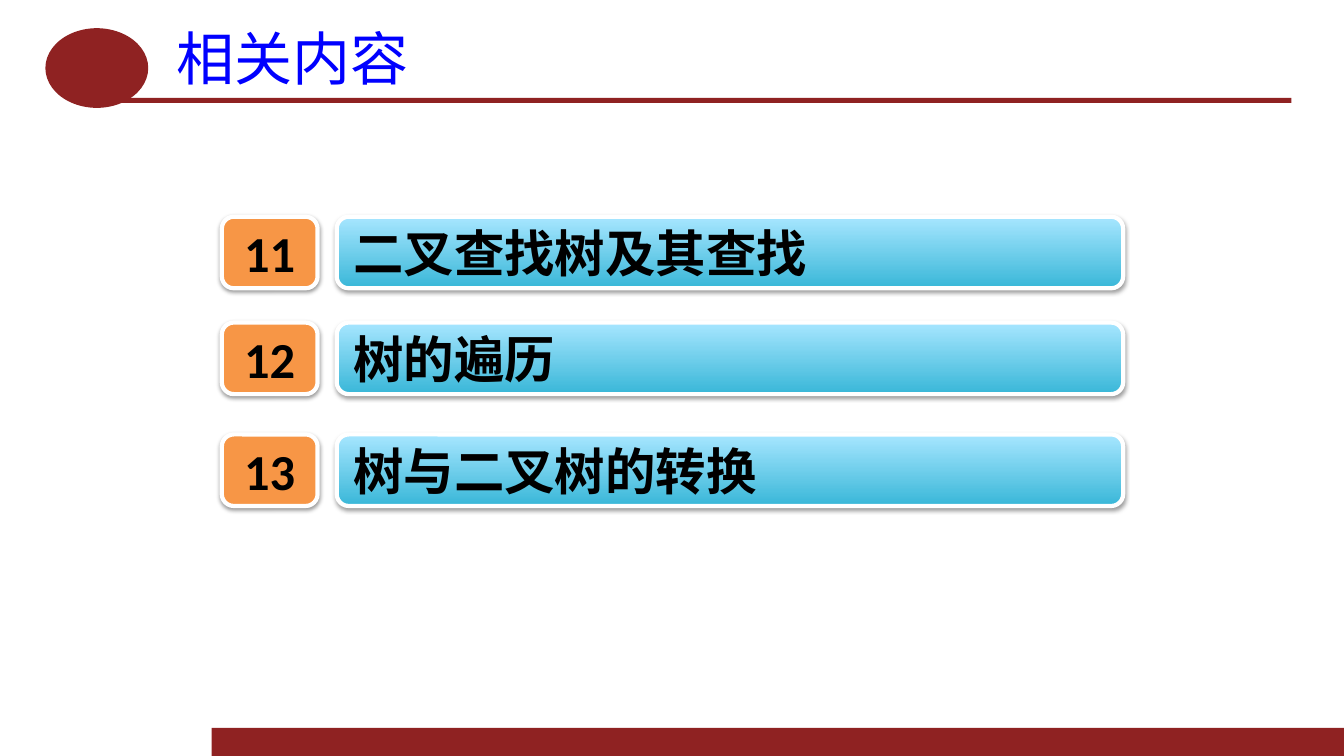
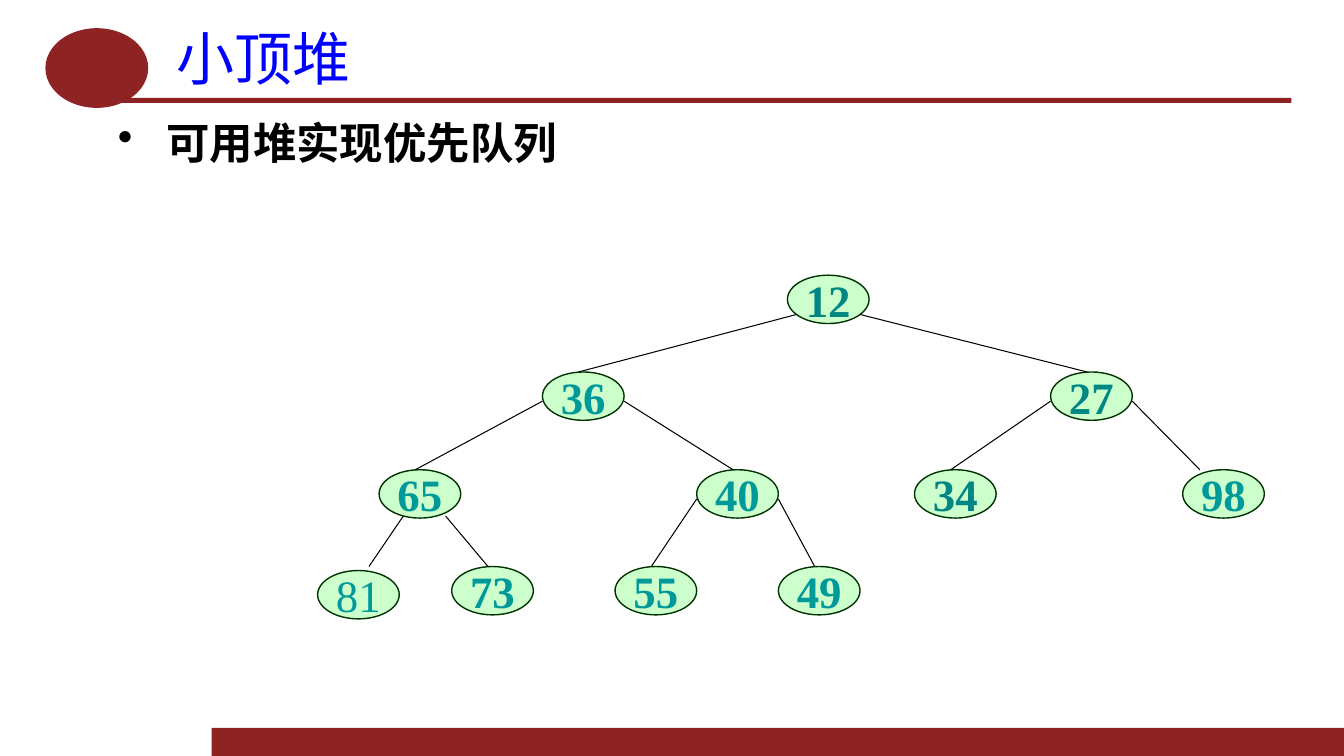
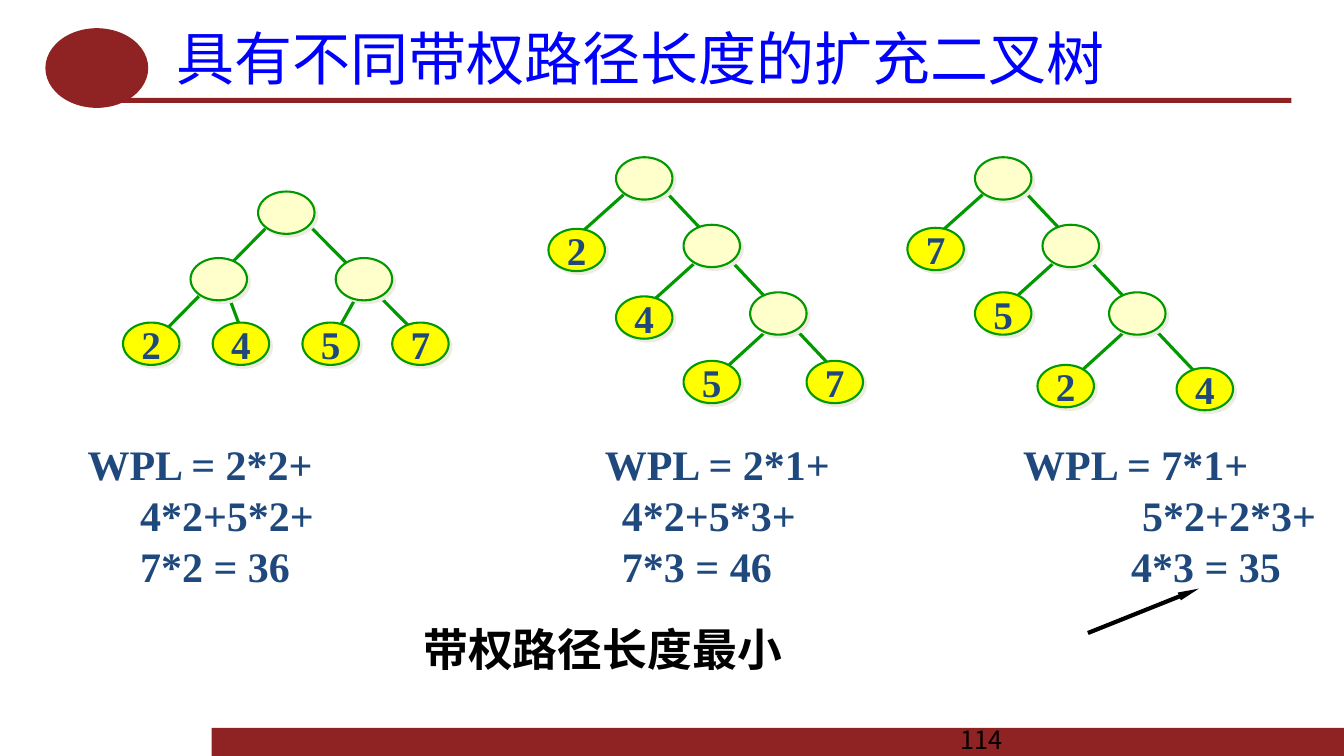
"""Build three slides on trees, heaps and weighted path lengths."""
from dataclasses import dataclass

from lxml.etree import SubElement
from pptx import Presentation
from pptx.dml.color import RGBColor
from pptx.enum.shapes import MSO_CONNECTOR as Connector, MSO_SHAPE as Preset
from pptx.enum.text import MSO_ANCHOR as Anchor, MSO_AUTO_SIZE as AutoSize, PP_ALIGN as Align
from pptx.oxml.ns import qn
from pptx.util import Inches, Pt


@dataclass(frozen=True)
class Theme:
    band: str = "8F2222"
    title: str = "0000FF"
    ink: str = "000000"
    white: str = "FFFFFF"
    number: str = "F79646"
    bar_bottom: str = "39B7D8"
    bar_top: str = "A7E6FF"
    heap_fill: str = "CCFFCC"
    heap_line: str = "003300"
    heap_text: str = "009999"
    heap_path: str = "008784"
    inner: str = "FFFFCC"
    leaf: str = "FFFF00"
    branch: str = "009900"
    formula: str = "1F497D"
    node_shadow: str = "EEECE1"
    sans: str = "Calibri"
    serif: str = "Times New Roman"
    chinese: str = "Noto Sans CJK SC"
    page_font: str = "Noto Sans CJK JP"
    title_size: float = 41.4
    agenda_size: int = 36
    heap_size: int = 32
    bullet_size: int = 31
    formula_size: int = 30
    leaf_size: int = 28
    page_size: int = 18


THEME = Theme()
WIDTH, HEIGHT = 13.33, 7.5
INSETS = (0.13, 0.06)

SHARED_PARTS = [
    (Preset.RECTANGLE, (2.1, 7.22, WIDTH - 2.1, 0.28)),
    (Preset.RECTANGLE, (1.18, 0.97, 11.63, 0.05)),
    (Preset.OVAL, (0.45, 0.28, 1.02, 0.79)),
]
TITLE_BOX = (1.62, 0.21, 11.19, 0.71)

AGENDA = [("11", "二叉查找树及其查找", 2.15), ("12", "树的遍历", 3.2), ("13", "树与二叉树的转换", 4.31)]

HEAP_NODE = (0.81, 0.48)
HEAP_LEVELS = (2.73, 3.69, 4.66, 5.62)
HEAP = {
    12: (7.81, 0), 36: (5.38, 1), 27: (10.42, 1), 65: (3.76, 2), 40: (6.91, 2),
    34: (9.07, 2), 98: (11.73, 2), 81: (3.15, 3), 73: (4.48, 3), 55: (6.1, 3), 49: (7.72, 3),
}
HEAP_CHILDREN = {12: (36, 27), 36: (65, 40), 27: (34, 98), 65: (81, 73), 40: (55, 49)}
HEAP_PATH = (12, 27, 34)
BRANCH_STARTS = {12: (0.09, 0.72, 0.39), 65: (0.24, 0.66, 0.46)}
BRANCH_ENDS = {98: 0.17, 81: 0.51}
LOWERED = {81: 0.04}

NODE = (0.56, 0.42)
BALANCED = {
    "inner": [(0, 0), (-0.67, 0.66), (0.77, 0.66)],
    "branches": [
        (0.33, 0.16, 1.66, 1.5), (1, 1, 0.77, 1.41),
        (-0.34, 0.91, -0.12, 1.5), (0.11, 0.33, -1.12, 1.58),
    ],
}
LEANING = {
    "inner": [(0, 0), (0.67, 0.67), (1.33, 1.34)],
    "branches": [(0.11 + 0.72 * level, 0.34 + 0.665 * level,
                  -0.45 + 0.725 * level, 0.84 + 0.665 * level) for level in range(3)]
    + [(0.33, 0.17, 2.22, 2.17)],
}
EXTENDED_TREES = [
    (BALANCED, (2.56, 1.9),
     [("2", -1.34, 1.3), ("4", -0.45, 1.3), ("5", 0.44, 1.3), ("7", 1.33, 1.3)]),
    (LEANING, (6.11, 1.56),
     [("2", -0.67, 0.71), ("4", 0, 1.38), ("5", 0.67, 2.02), ("7", 1.89, 2.02)]),
    (LEANING, (9.67, 1.56),
     [("7", -0.67, 0.7), ("5", 0, 1.34), ("2", 0.62, 2.06), ("4", 2, 2.09)]),
]
FORMULAS = [
    (0.77, [("WPL = 2*2+", 0), ("4*2+5*2+", 0.52), ("7*2 = 36", 0.52)]),
    (5.9, [("WPL = 2*1+", 0), ("4*2+5*3+", 0.17), ("7*3 = 46", 0.17)]),
    (10.05, [("WPL = 7*1+", 0), ("5*2+2*3+", 1.18), ("4*3 = 35", 1.07)]),
]


def color(value):
    return RGBColor.from_string(value)


def inches(values):
    return [Inches(value) for value in values]


def write(shape, lines, size, ink=THEME.ink, font=THEME.sans, bold=True, align=Align.LEFT,
          anchor=Anchor.MIDDLE, insets=INSETS, wrap=True, spacing=None, bullet=None):
    """Write (text, indent) lines into a shape with one format."""
    frame = shape.text_frame
    frame.auto_size, frame.word_wrap, frame.vertical_anchor = AutoSize.NONE, wrap, anchor
    frame.margin_left = frame.margin_right = Inches(insets[0])
    frame.margin_top = frame.margin_bottom = Inches(insets[1])
    for index, (text, indent) in enumerate(lines):
        paragraph = frame.add_paragraph() if index else frame.paragraphs[0]
        properties = paragraph._p.get_or_add_pPr()
        properties.set("marL", str(Inches(indent)))
        if bullet:
            properties.set("indent", str(-Inches(indent)))
            SubElement(properties, qn("a:buChar"), char=bullet)
        paragraph.alignment = align
        if spacing:
            paragraph.line_spacing = Pt(spacing)
        run = paragraph.add_run()
        run.text = text
        run.font.name, run.font.size, run.font.bold = font, Pt(size), bold
        run.font.color.rgb = color(ink)
        SubElement(run._r.get_or_add_rPr(), qn("a:ea"), typeface=THEME.chinese)


def add_label(slide, box, lines, size, **style):
    write(slide.shapes.add_textbox(*inches(box)), lines, size, **style)


def add_block(slide, preset, box, fill, line=None, weight=1, shadow=None):
    """Add a preset shape; a pair of fills makes an upward gradient."""
    shape = slide.shapes.add_shape(preset, *inches(box))
    shape.shadow.inherit = False
    if isinstance(fill, tuple):
        shape.fill.gradient()
        shape.fill.gradient_angle = 90
        for stop, value in zip(shape.fill.gradient_stops, fill):
            stop.color.rgb = color(value)
    else:
        shape.fill.solid()
        shape.fill.fore_color.rgb = color(fill)
    if line:
        shape.line.color.rgb, shape.line.width = color(line), Pt(weight)
    else:
        shape.line.fill.background()
    if shadow:
        value, alpha, blur, distance, angle = shadow
        effects = shape.element.spPr.find(qn("a:effectLst"))
        outer = SubElement(effects, qn("a:outerShdw"), blurRad=str(Pt(blur)),
                           dist=str(Pt(distance)), dir=str(angle * 60000), rotWithShape="0")
        tint = SubElement(outer, qn("a:srgbClr"), val=value)
        SubElement(tint, qn("a:alpha"), val=str(alpha * 1000))
    return shape


def add_line(slide, ends, ink, weight, arrow=False):
    connector = slide.shapes.add_connector(Connector.STRAIGHT, *inches(ends))
    connector.line.color.rgb, connector.line.width = color(ink), Pt(weight)
    if arrow:
        SubElement(connector.line._get_or_add_ln(), qn("a:tailEnd"),
                   type="triangle", w="sm", len="lg")
    SubElement(connector.element.spPr, qn("a:effectLst"))


def prepare_layout(presentation):
    """Put the bands, the oval and the title place on the title-only layout."""
    layout = presentation.slide_layouts[5]
    for placeholder in list(layout.placeholders):
        if placeholder.placeholder_format.idx:
            placeholder.element.getparent().remove(placeholder.element)
    slide = presentation.slides.add_slide(layout)
    parts = [add_block(slide, preset, box, THEME.band) for preset, box in SHARED_PARTS]
    for position, part in enumerate(parts, 2):
        layout.shapes.element.insert(position, part.element)
    return layout, slide


def set_title(slide, text):
    title = slide.shapes.title
    title.left, title.top, title.width, title.height = inches(TITLE_BOX)
    write(title, [(text, 0)], THEME.title_size, ink=THEME.title, font=THEME.chinese, bold=False)


def build_agenda(slide):
    set_title(slide, "相关内容")
    style = dict(line=THEME.white, weight=3, shadow=(THEME.ink, 38, 3.1, 1.6, 90))
    for number, topic, top in AGENDA:
        for text, left, width, fill, align in (
            (number, 2.2, 0.95, THEME.number, Align.CENTER),
            (topic, 3.34, 7.8, (THEME.bar_bottom, THEME.bar_top), Align.LEFT),
        ):
            block = add_block(slide, Preset.ROUNDED_RECTANGLE, (left, top, width, 0.71),
                              fill, **style)
            write(block, [(text, 0)], THEME.agenda_size, align=align)


def build_heap(slide):
    set_title(slide, "小顶堆")
    add_label(slide, (1.04, 1.09, 11.74, 1.08), [("可用堆实现优先队列", 0.48)],
              THEME.bullet_size, anchor=Anchor.TOP, bullet="•")
    places = {value: (left, HEAP_LEVELS[level] + LOWERED.get(value, 0))
              for value, (left, level) in HEAP.items()}
    for value, place in places.items():
        node = add_block(slide, Preset.OVAL, place + HEAP_NODE, THEME.heap_fill, THEME.heap_line)
        write(node, [(str(value), 0)], THEME.heap_size, font=THEME.serif, bold=value != 81,
              ink=THEME.heap_path if value in HEAP_PATH else THEME.heap_text,
              align=Align.CENTER, wrap=False)
    for parent, children in HEAP_CHILDREN.items():
        left, top = places[parent]
        *starts, drop = BRANCH_STARTS.get(parent, (0, HEAP_NODE[0], 0.29))
        for start, child in zip(starts, children):
            end = HEAP[child][0] + BRANCH_ENDS.get(child, 0.36)
            add_line(slide, (left + start, top + drop, end, HEAP_LEVELS[HEAP[child][1]]),
                     THEME.ink, 0.75)


def build_extended_trees(slide):
    set_title(slide, "具有不同带权路径长度的扩充二叉树")
    add_label(slide, (9.4, 7.2, 3.11, 0.28), [("114", 0)], THEME.page_size,
              font=THEME.page_font, bold=False)
    for form, (left, top), leaves in EXTENDED_TREES:
        for x1, y1, x2, y2 in form["branches"]:
            add_line(slide, (left + x1, top + y1, left + x2, top + y2), THEME.branch, 2.25)
        for text, x, y in [("", *place) for place in form["inner"]] + leaves:
            node = add_block(slide, Preset.OVAL, (left + x, top + y) + NODE,
                             THEME.leaf if text else THEME.inner, THEME.branch, 1.5,
                             (THEME.node_shadow, 100, 0, 2.8, 45))
            if text:
                write(node, [(text, 0)], THEME.leaf_size, ink=THEME.formula, font=THEME.serif,
                      align=Align.CENTER, insets=(0, 0), wrap=False)
    for left, lines in FORMULAS:
        add_label(slide, (left, 4.3, 3.25, 1.65), lines, THEME.formula_size, ink=THEME.formula,
                  font=THEME.serif, anchor=Anchor.TOP, insets=(0.1, 0.05), spacing=36.4)
    add_label(slide, (4.1, 6.12, 4.2, 0.74), [("带权路径长度最小", 0)], THEME.heap_size,
              font=THEME.chinese, anchor=Anchor.TOP, insets=(0.1, 0.05))
    add_line(slide, (10.79, 6.28, 11.89, 5.84), THEME.ink, 3, arrow=True)


def main():
    presentation = Presentation()
    presentation.slide_width, presentation.slide_height = inches((WIDTH, HEIGHT))
    layout, first_slide = prepare_layout(presentation)
    build_agenda(first_slide)
    for build in (build_heap, build_extended_trees):
        build(presentation.slides.add_slide(layout))
    presentation.save("out.pptx")


if __name__ == "__main__":
    main()
